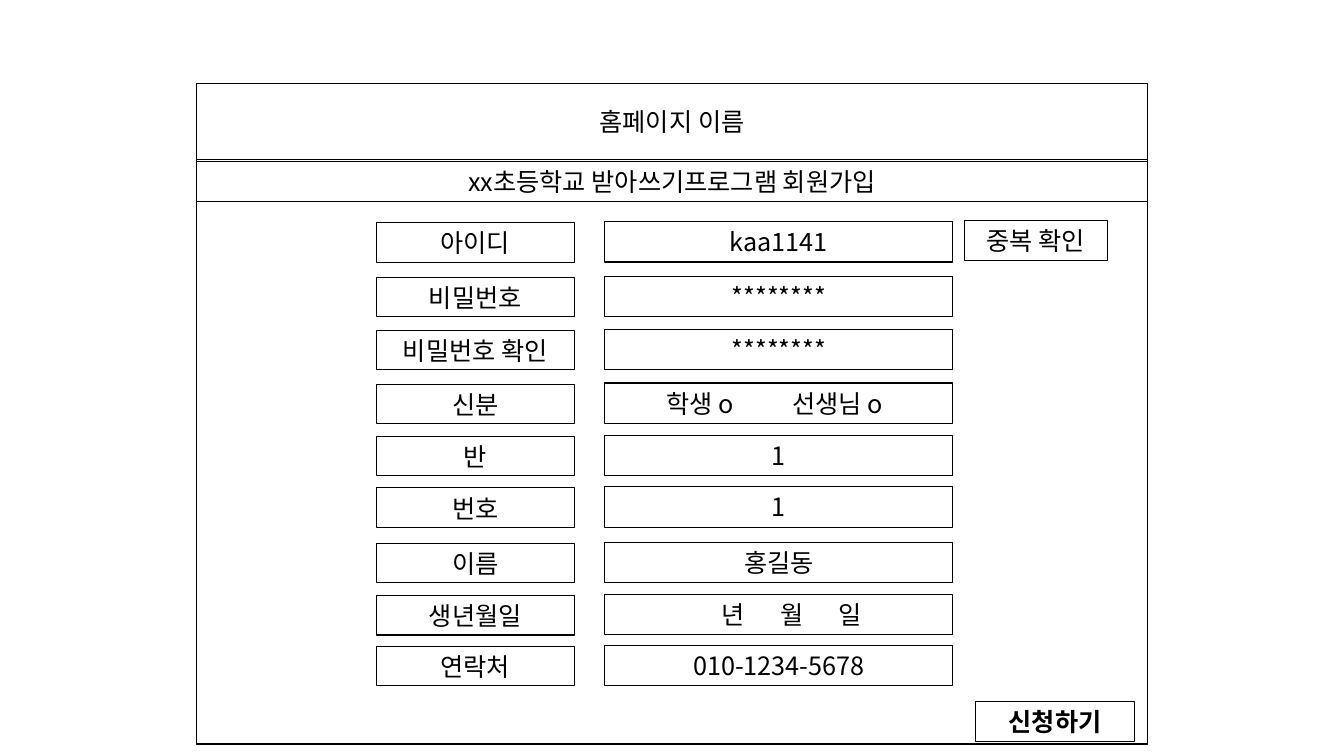
from lxml import etree
from pptx import Presentation
from pptx.dml.color import RGBColor
from pptx.enum import shapes, text
from pptx.oxml import ns
from pptx.util import Inches, Pt

COLORS = {"ink": "000000", "paper": "FFFFFF"}
FONT = "Noto Sans CJK KR"
INK = RGBColor.from_string(COLORS["ink"])
PAPER = RGBColor.from_string(COLORS["paper"])

deck = Presentation()
deck.slide_width, deck.slide_height = Inches(13.33), Inches(7.5)
slide = deck.slides.add_slide(deck.slide_layouts[5])


def write(box, words, bold=False):
    frame = box.text_frame
    frame.text = words
    frame.word_wrap = True
    para = frame.paragraphs[0]
    para.alignment = text.PP_ALIGN.CENTER
    run = para.runs[0]
    run.font.size = Pt(18)
    run.font.name = FONT
    run.font.bold = bold
    run.font.color.rgb = INK
    east = etree.SubElement(run.font._element, ns.qn("a:ea"))
    east.set("typeface", FONT)
    return para


def add_box(left, top, width, height, words="", bold=False):
    box = slide.shapes.add_shape(
        shapes.MSO_SHAPE.RECTANGLE,
        Inches(left), Inches(top), Inches(width), Inches(height))
    box.shadow.inherit = False
    box.fill.background()
    box.line.color.rgb = INK
    box.line.width = Pt(0.75)
    if words:
        write(box, words, bold)
        box.text_frame.vertical_anchor = text.MSO_ANCHOR.TOP
        box.text_frame.auto_size = text.MSO_AUTO_SIZE.SHAPE_TO_FIT_TEXT
    return box


panel = add_box(1.95, 0.83, 9.43, 6.55)
slide.shapes._spTree.insert(2, panel._element)

title = slide.shapes.title
title.left, title.top = Inches(1.95), Inches(0.83)
title.width, title.height = Inches(9.43), Inches(0.75)
write(title, "홈페이지 이름")
title.text_frame.vertical_anchor = text.MSO_ANCHOR.MIDDLE
title.text_frame.auto_size = text.MSO_AUTO_SIZE.NONE

for frame in (panel, title):
    frame.fill.solid()
    frame.fill.fore_color.rgb = PAPER
    frame.line.color.rgb = INK
    frame.line.width = Pt(1)

add_box(1.95, 1.6, 9.43, 0.4, "xx초등학교 받아쓰기프로그램 회원가입")

fields = [
    (2.2, "아이디", "kaa1141", []),
    (2.74, "비밀번호", "********", []),
    (3.27, "비밀번호 확인", "********", []),
    (3.8, "신분", "\t학생 o\t선생님 o", [0.51, 1.76]),
    (4.32, "반", "1", []),
    (4.83, "번호", "1", []),
    (5.38, "이름", "홍길동", []),
    (5.9, "생년월일", "\t년\t월\t일", [1.06, 1.64, 2.22]),
    (6.4, "연락처", "010-1234-5678", []),
]
for top, label, value, stops in fields:
    add_box(3.73, top + 0.01, 1.97, 0.39, label)
    entry = add_box(6, top, 3.45, 0.4, value)
    if stops:
        para = entry.text_frame.paragraphs[0]
        para.alignment = text.PP_ALIGN.LEFT
        tabs = etree.SubElement(para._p.get_or_add_pPr(), ns.qn("a:tabLst"))
        for stop in stops:
            tab = etree.SubElement(tabs, ns.qn("a:tab"))
            tab.set("pos", str(Inches(stop)))
            tab.set("algn", "l")

add_box(9.57, 2.19, 1.41, 0.39, "중복 확인")
add_box(9.68, 6.96, 1.57, 0.4, "신청하기", bold=True)

deck.save("out.pptx")
